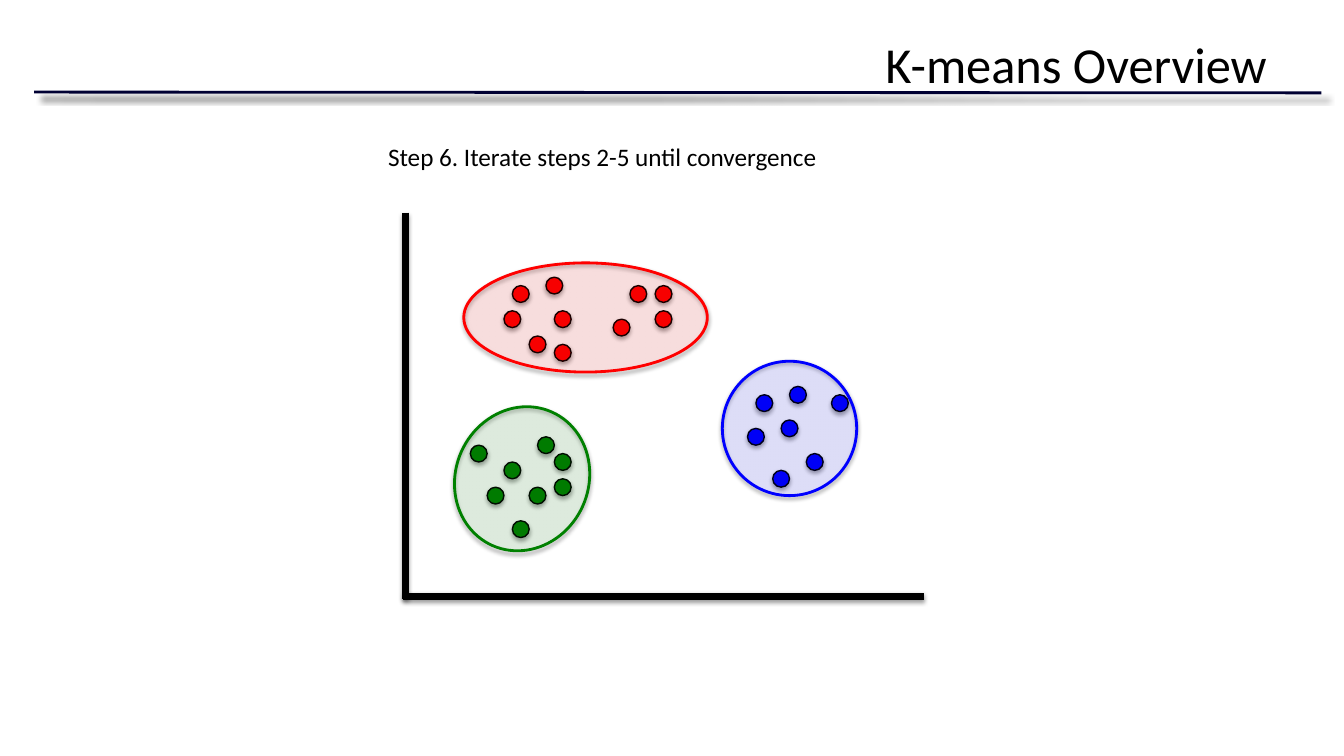
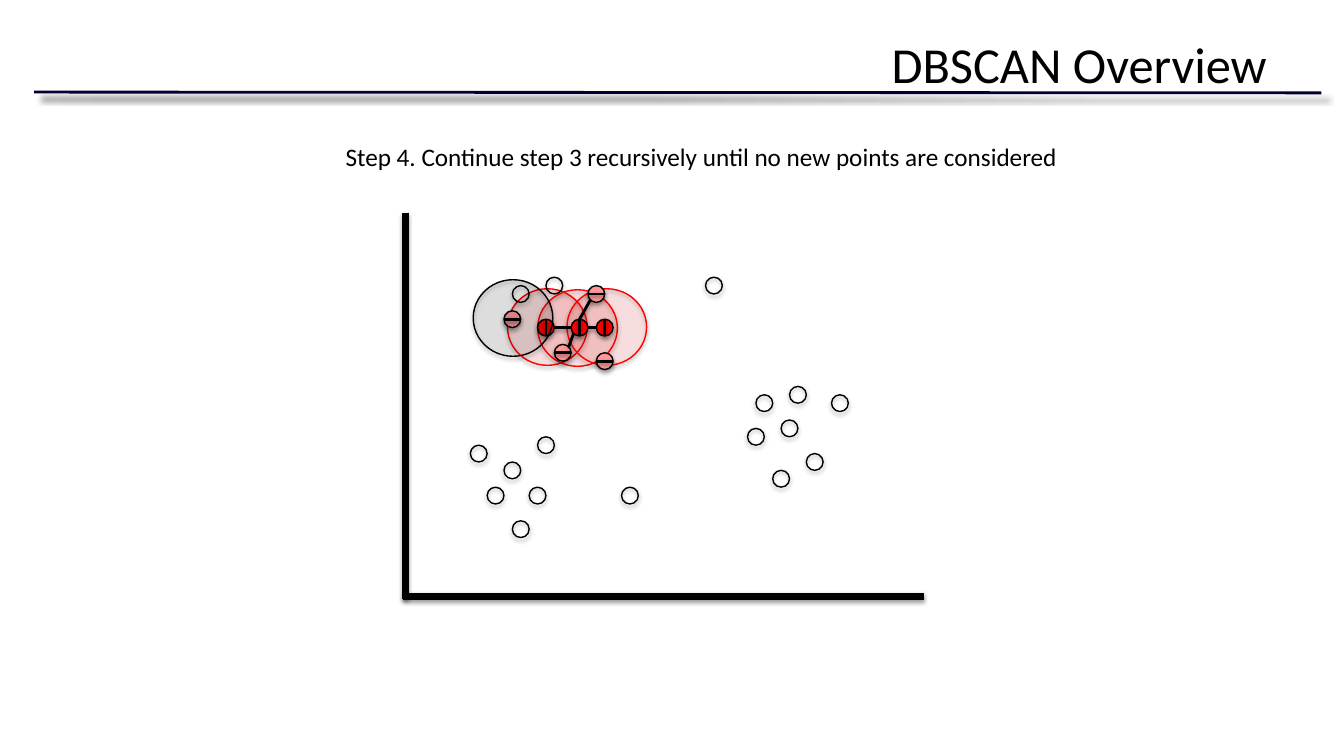
from dataclasses import dataclass
from math import cos, radians, sin

from lxml.etree import SubElement
from pptx import Presentation
from pptx.dml.color import RGBColor
from pptx.enum.shapes import MSO_CONNECTOR as Connector, MSO_SHAPE as Shape
from pptx.enum.text import PP_ALIGN as Align
from pptx.oxml.ns import qn
from pptx.util import Cm, Pt


@dataclass(frozen=True)
class Shadow:
    opacity: int
    blur: float
    distance: float
    direction: int


@dataclass(frozen=True)
class Theme:
    font: str = "Calibri"
    title_size: int = 36
    step_size: int = 18
    black: str = "000000"
    rule: str = "000033"
    red: str = "FF0000"
    pink: str = "FF9999"
    green: str = "008000"
    blue: str = "0000FF"
    region_opacity: int = 10
    thin: int = 1
    medium: int = 2
    thick: int = 5
    rule_shadow: Shadow = Shadow(50, 4, 6, 45)
    line_shadow: Shadow = Shadow(38, 3.1, 1.6, 90)
    shape_shadow: Shadow = Shadow(35, 3.1, 1.8, 90)


THEME = Theme()
GRID = 2.54 / 12  # plot unit in cm; dots are centred on whole units
DOT_SIZE = 2
REACH_SIZE = (9.48, 9.12)
PLOT_LEFT, PLOT_TOP = 10.16, 5.08

RED_DOTS = [(18, 10), (13, 14), (28, 11), (19, 14), (16, 17),
            (19, 18), (26, 15), (31, 11), (14, 11), (31, 14)]
BLUE_DOTS = [(43, 24), (42, 28), (47, 23), (46, 27), (45, 33), (49, 31), (52, 24)]
GREEN_DOTS = [(13, 32), (16, 35), (11, 35), (14, 39), (9, 30), (17, 29)]
EXTRA_GREEN_DOTS = [(19, 34), (19, 31)]

OUTLIERS = [(18, 10), (14, 11), (27, 35), (37, 10)]
CORE_DOTS = LEFT_CORE, MIDDLE_CORE, RIGHT_CORE = [(17, 15), (21, 15), (24, 15)]
BORDER_DOTS = UPPER_BORDER, LOWER_BORDER, FAR_BORDER = [(23, 11), (19, 18), (24, 19)]
CURRENT_DOT = (13, 14)
CORE_REACHES = [(17.16, 14.94), (20.76, 15.06), (24.24, 14.94)]
CURRENT_REACH = (13.08, 13.86)
# Each link: dot, angle on its rim, dot, angle on its rim (clockwise from the right)
LINKS = [
    (MIDDLE_CORE, 135, LOWER_BORDER, 315),
    (MIDDLE_CORE, 0, RIGHT_CORE, 180),
    (MIDDLE_CORE, 180, LEFT_CORE, 0),
    (UPPER_BORDER, 135, MIDDLE_CORE, 270),
]


def add_shadow(shape, shadow):
    effects = SubElement(shape.element.spPr, qn("a:effectLst"))
    outer = SubElement(effects, qn("a:outerShdw"), {
        "blurRad": str(Pt(shadow.blur)), "dist": str(Pt(shadow.distance)),
        "dir": str(shadow.direction * 60000), "algn": "ctr", "rotWithShape": "0"})
    color = SubElement(outer, qn("a:srgbClr"), val=THEME.black)
    SubElement(color, qn("a:alpha"), val=str(shadow.opacity * 1000))


def add_line(slide, start, end, color, width, shadow):
    """Draw a straight line between two points given in cm."""
    line = slide.shapes.add_connector(
        Connector.STRAIGHT, *(Cm(value) for value in (*start, *end)))
    line.line.color.rgb = RGBColor.from_string(color)
    line.line.width = Pt(width)
    add_shadow(line, shadow)


def add_text(slide, text, left, top, width, height, *, size, align=Align.LEFT):
    box = slide.shapes.add_textbox(Cm(left), Cm(top), Cm(width), Cm(height))
    box.text_frame.word_wrap = True
    paragraph = box.text_frame.paragraphs[0]
    paragraph.alignment = align
    run = paragraph.add_run()
    run.text = text
    run.font.name = THEME.font
    run.font.size = Pt(size)
    run.font.color.rgb = RGBColor.from_string(THEME.black)


class Plot:
    """Scatter plot with its corner at left, top (cm) and positions in grid units."""

    def __init__(self, slide, left, top):
        self.slide, self.left, self.top = slide, left, top
        self.line((0.24, 1.32), (0.24, 47.28), THEME.thick)
        self.line((62, 47), (0, 47), THEME.thick)

    def place(self, point):
        return self.left + point[0] * GRID, self.top + point[1] * GRID

    def line(self, start, end, width=THEME.medium):
        add_line(self.slide, self.place(start), self.place(end),
                 THEME.black, width, THEME.line_shadow)

    def ellipse(self, center, size, fill, outline, width=THEME.thin,
                opacity=None, rotation=0):
        x, y = self.place(center)
        wide, high = (GRID * side for side in size)
        shape = self.slide.shapes.add_shape(
            Shape.OVAL, Cm(x - wide / 2), Cm(y - high / 2), Cm(wide), Cm(high))
        shape.rotation = rotation
        if fill:
            shape.fill.solid()
            shape.fill.fore_color.rgb = RGBColor.from_string(fill)
        else:
            shape.fill.background()
        if opacity:
            color = shape.element.spPr.find(qn("a:solidFill"))[0]
            SubElement(color, qn("a:alpha"), val=str(opacity * 1000))
        shape.line.color.rgb = RGBColor.from_string(outline)
        shape.line.width = Pt(width)
        add_shadow(shape, THEME.shape_shadow)

    def region(self, center, size, color, width=THEME.medium, rotation=0):
        self.ellipse(center, size, color, color, width, THEME.region_opacity, rotation)

    def reach(self, center, color):
        self.region(center, REACH_SIZE, color, THEME.thin)

    def dots(self, centers, fill=None):
        for center in centers:
            self.ellipse(center, (DOT_SIZE, DOT_SIZE), fill, THEME.black)

    def link(self, first, first_angle, second, second_angle):
        self.line(rim(first, first_angle), rim(second, second_angle))

    def ticks(self, centers, angle):
        """Draw a diameter across each dot."""
        for center in centers:
            self.link(center, angle, center, angle + 180)


def rim(center, angle):
    radius, turn = DOT_SIZE / 2, radians(angle)
    return center[0] + radius * cos(turn), center[1] + radius * sin(turn)


def add_overview(presentation, title, step, step_left, step_width):
    """Add a slide with title, rule and step line, and return its empty plot."""
    slide = presentation.slides.add_slide(presentation.slide_layouts[6])
    add_line(slide, (0.86, 2.32), (33.3, 2.34), THEME.rule, THEME.medium,
             THEME.rule_shadow)
    add_text(slide, title, 1.7, 0.7, 30.48, 1.8, size=THEME.title_size,
             align=Align.RIGHT)
    add_text(slide, step, step_left, 3.43, step_width, 1.02, size=THEME.step_size)
    return Plot(slide, PLOT_LEFT, PLOT_TOP)


def add_kmeans_slide(presentation):
    plot = add_overview(presentation, "K-means Overview",
                        "Step 6. Iterate steps 2-5 until convergence", 9.53, 11.5)
    plot.dots(RED_DOTS, THEME.red)
    plot.dots(BLUE_DOTS, THEME.blue)
    plot.dots(GREEN_DOTS + EXTRA_GREEN_DOTS, THEME.green)
    plot.region((46, 27), (16, 16), THEME.blue)
    plot.region((14.16, 33), (15.84, 17.4), THEME.green, rotation=24)
    plot.region((21.72, 13.8), (29, 13), THEME.red)


def add_dbscan_slide(presentation):
    plot = add_overview(
        presentation, "DBSCAN Overview",
        "Step 4. Continue step 3 recursively until no new points are considered",
        8.46, 18.57)
    for center in CORE_REACHES:
        plot.reach(center, THEME.red)
    plot.dots(OUTLIERS + BLUE_DOTS + GREEN_DOTS)
    plot.dots(CORE_DOTS, THEME.red)
    plot.dots([CURRENT_DOT, *BORDER_DOTS], THEME.pink)
    for link in LINKS:
        plot.link(*link)
    plot.ticks(CORE_DOTS, 90)
    plot.ticks(BORDER_DOTS, 0)
    plot.reach(CURRENT_REACH, THEME.black)
    plot.ticks([CURRENT_DOT], 0)


def main():
    presentation = Presentation()
    presentation.slide_width, presentation.slide_height = Cm(33.87), Cm(19.05)
    add_kmeans_slide(presentation)
    add_dbscan_slide(presentation)
    presentation.save("out.pptx")


if __name__ == "__main__":
    main()
